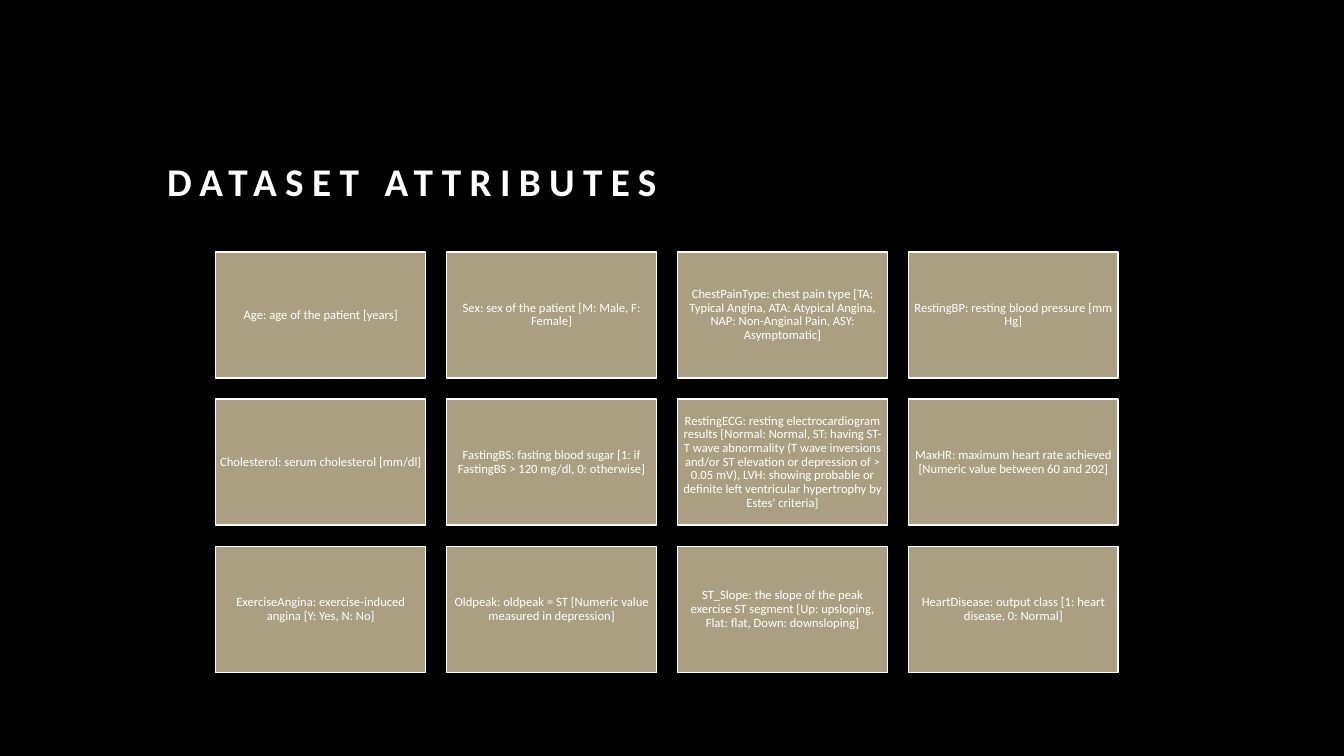
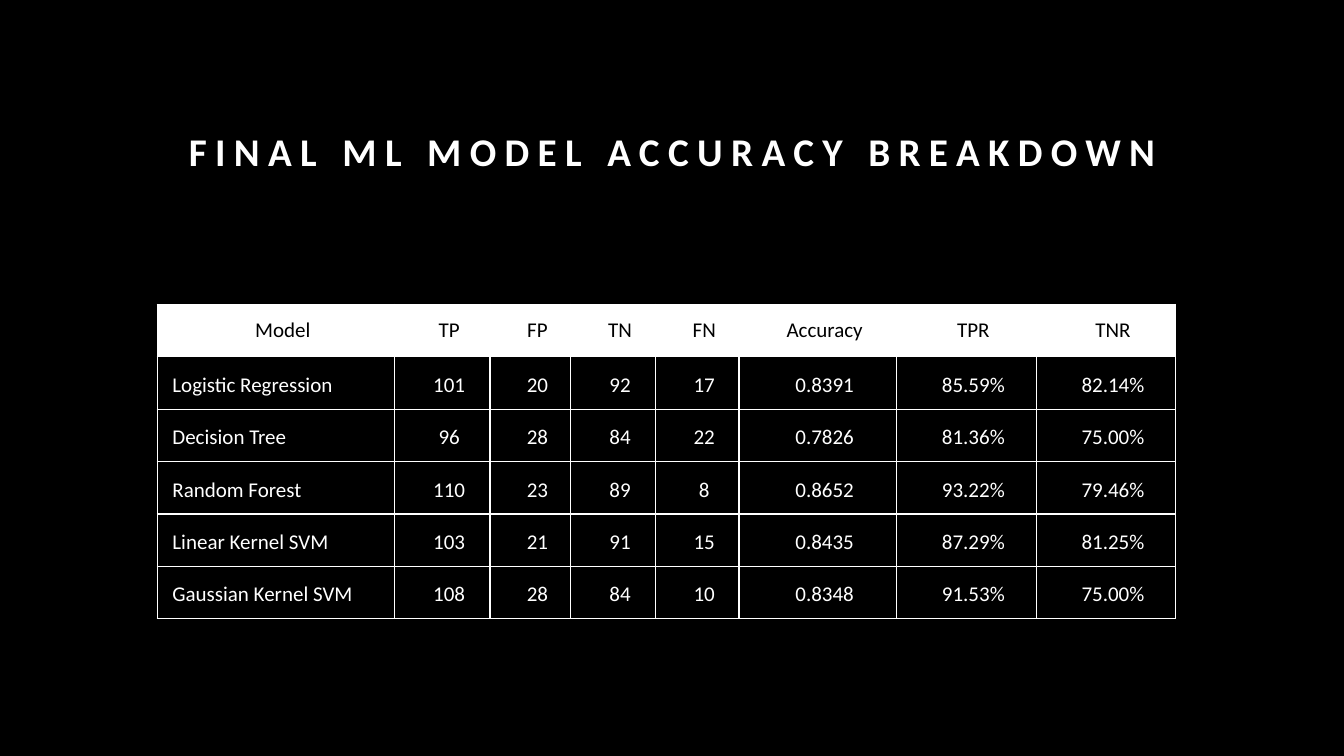
from dataclasses import dataclass

from lxml import etree
from pptx import Presentation
from pptx.dml.color import RGBColor
from pptx.enum.shapes import MSO_SHAPE
from pptx.enum.text import MSO_ANCHOR as Anchor, PP_ALIGN as Align
from pptx.oxml.ns import qn
from pptx.util import Inches, Pt

# Shared style
BLACK = RGBColor(0x00, 0x00, 0x00)
WHITE = RGBColor(0xFF, 0xFF, 0xFF)
KHAKI = RGBColor(0xAA, 0xA0, 0x81)
FONT = "Calibri"


@dataclass(frozen=True)
class Title:
    text: str
    left: float
    top: float
    width: float
    height: float
    align: Align = Align.LEFT


@dataclass(frozen=True)
class Grid:
    left: float
    top: float
    columns: int
    card_width: float
    card_height: float
    gap: float


# Content of the attribute slide
CARD_GRID = Grid(left=2.14, top=2.5, columns=4, card_width=2.08, card_height=1.25, gap=0.21)
ATTRIBUTES = [
    "Age: age of the patient [years]",
    "Sex: sex of the patient [M: Male, F: Female]",
    "ChestPainType: chest pain type [TA: Typical Angina, ATA: Atypical Angina, "
    "NAP: Non-Anginal Pain, ASY: Asymptomatic]",
    "RestingBP: resting blood pressure [mm Hg]",
    "Cholesterol: serum cholesterol [mm/dl]",
    "FastingBS: fasting blood sugar [1: if FastingBS > 120 mg/dl, 0: otherwise]",
    "RestingECG: resting electrocardiogram results [Normal: Normal, ST: having ST-T wave "
    "abnormality (T wave inversions and/or ST elevation or depression of > 0.05 mV), LVH: "
    "showing probable or definite left ventricular hypertrophy by Estes' criteria]",
    "MaxHR: maximum heart rate achieved [Numeric value between 60 and 202]",
    "ExerciseAngina: exercise-induced angina [Y: Yes, N: No]",
    "Oldpeak: oldpeak = ST [Numeric value measured in depression]",
    "ST_Slope: the slope of the peak exercise ST segment "
    "[Up: upsloping, Flat: flat, Down: downsloping]",
    "HeartDisease: output class [1: heart disease, 0: Normal]",
]

# Content of the accuracy slide
COLUMN_WIDTHS = [2.35, 0.95, 0.8, 0.84, 0.83, 1.56, 1.39, 1.38]
RESULTS = [
    ("Model", "TP", "FP", "TN", "FN", "Accuracy", "TPR", "TNR"),
    ("Logistic Regression", "101", "20", "92", "17", "0.8391", "85.59%", "82.14%"),
    ("Decision Tree", "96", "28", "84", "22", "0.7826", "81.36%", "75.00%"),
    ("Random Forest", "110", "23", "89", "8", "0.8652", "93.22%", "79.46%"),
    ("Linear Kernel SVM", "103", "21", "91", "15", "0.8435", "87.29%", "81.25%"),
    ("Gaussian Kernel SVM", "108", "28", "84", "10", "0.8348", "91.53%", "75.00%"),
]


def write(tf, text: str, size: float, color: RGBColor = WHITE, align: Align = Align.CENTER):
    """Fill the first paragraph of a text frame and return paragraph and run."""
    p = tf.paragraphs[0]
    p.alignment = align
    r = p.add_run()
    r.text = text
    r.font.name, r.font.size = FONT, Pt(size)
    r.font.color.rgb = color
    return p, r


def set_margins(target, left: float, top: float, right: float, bottom: float) -> None:
    target.margin_left, target.margin_top = Inches(left), Inches(top)
    target.margin_right, target.margin_bottom = Inches(right), Inches(bottom)


def add_slide(prs, title: Title):
    s = prs.slides.add_slide(prs.slide_layouts[6])
    s.background.fill.solid()
    s.background.fill.fore_color.rgb = BLACK
    sp = s.shapes.add_textbox(
        Inches(title.left), Inches(title.top), Inches(title.width), Inches(title.height))
    tf = sp.text_frame
    tf.word_wrap = True
    tf.vertical_anchor = Anchor.BOTTOM
    p, r = write(tf, title.text, 28, align=title.align)
    p.line_spacing = 1.2
    r.font.bold = True
    r.font._element.set("spc", "600")
    return s


def add_cards(s, grid: Grid, texts: list[str]) -> None:
    for i, text in enumerate(texts):
        row, col = divmod(i, grid.columns)
        sp = s.shapes.add_shape(
            MSO_SHAPE.RECTANGLE,
            Inches(grid.left + col * (grid.card_width + grid.gap)),
            Inches(grid.top + row * (grid.card_height + grid.gap)),
            Inches(grid.card_width), Inches(grid.card_height))
        sp.shadow.inherit = False
        sp.fill.solid()
        sp.fill.fore_color.rgb = KHAKI
        sp.line.color.rgb = WHITE
        sp.line.width = Pt(1)
        tf = sp.text_frame
        tf.word_wrap = True
        tf.vertical_anchor = Anchor.MIDDLE
        set_margins(tf, 0.04, 0.04, 0.04, 0.04)
        p, _ = write(tf, text, 9)
        p.line_spacing = 0.9


def add_borders(cell, color: RGBColor, width: float) -> None:
    tc_pr = cell._tc.get_or_add_tcPr()
    for side in ("a:lnL", "a:lnR", "a:lnT", "a:lnB"):
        ln = etree.SubElement(tc_pr, qn(side), w=str(Pt(width)))
        fill = etree.SubElement(ln, qn("a:solidFill"))
        etree.SubElement(fill, qn("a:srgbClr"), val=str(color))


def add_results_table(s, rows: list[tuple[str, ...]], widths: list[float]) -> None:
    table = s.shapes.add_table(
        len(rows), len(widths), Inches(1.56), Inches(3.02),
        Inches(sum(widths)), Inches(3.12)).table
    table.horz_banding = False
    for column, width in zip(table.columns, widths):
        column.width = Inches(width)
    for i, row in enumerate(rows):
        header = i == 0
        for j, text in enumerate(row):
            cell = table.cell(i, j)
            add_borders(cell, WHITE, 1)
            if header:
                cell.fill.solid()
                cell.fill.fore_color.rgb = WHITE
            else:
                cell.fill.background()
            cell.vertical_anchor = Anchor.MIDDLE if header else Anchor.BOTTOM
            set_margins(cell, 0.15, 0.11, 0.01, 0.11)
            write(cell.text_frame, text, 15, BLACK if header else WHITE,
                  Align.CENTER if header or j else Align.LEFT)


def main() -> None:
    prs = Presentation()
    prs.slide_width, prs.slide_height = Inches(13.33), Inches(7.5)

    # Dataset attributes
    s = add_slide(prs, Title("DATASET ATTRIBUTES", 1.56, 1.14, 10.1, 0.94))
    add_cards(s, CARD_GRID, ATTRIBUTES)

    # Model accuracy
    s = add_slide(prs, Title("FINAL ML MODEL ACCURACY BREAKDOWN",
                             1.67, 0.83, 10, 0.95, Align.CENTER))
    add_results_table(s, RESULTS, COLUMN_WIDTHS)

    prs.save("out.pptx")


if __name__ == "__main__":
    main()
